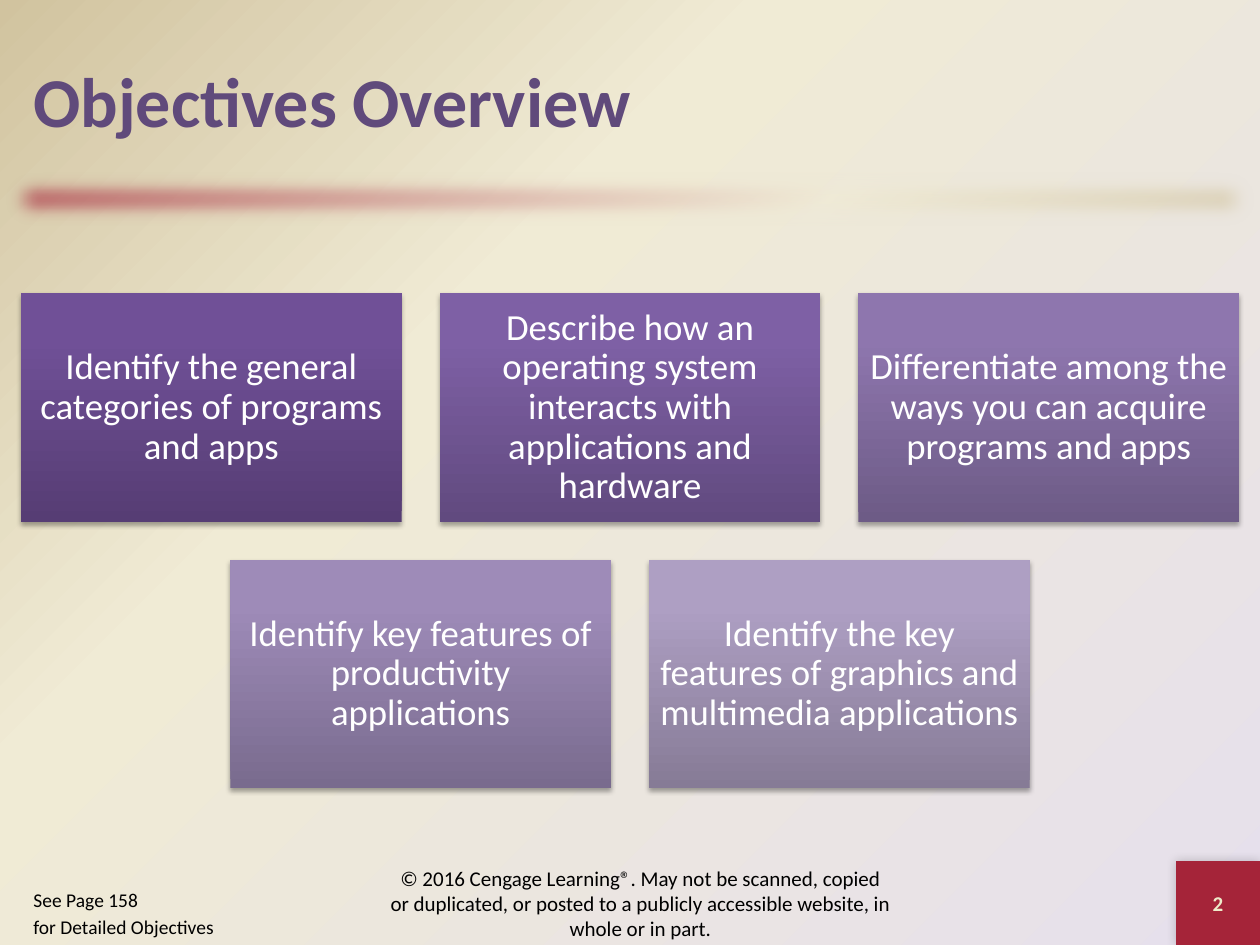
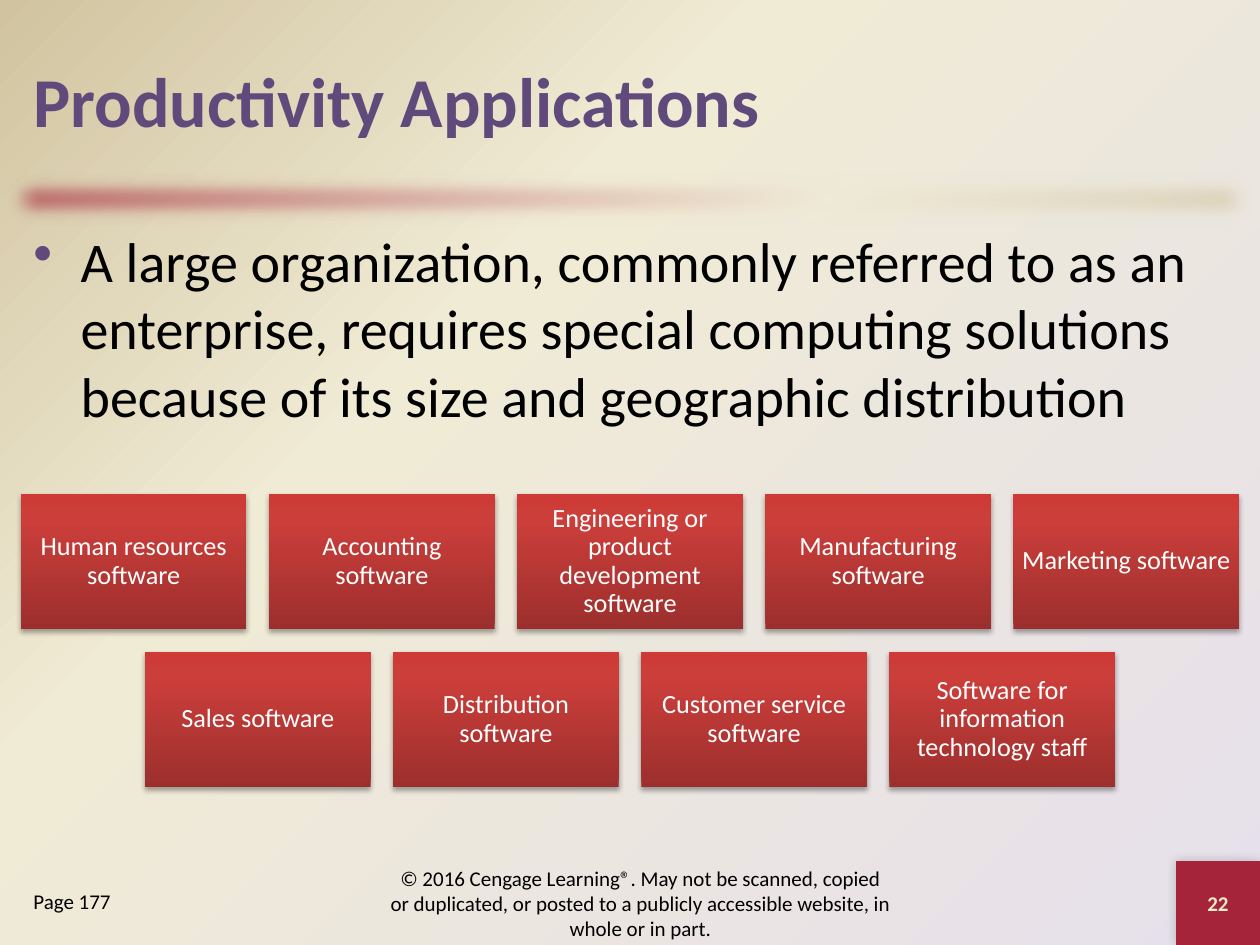
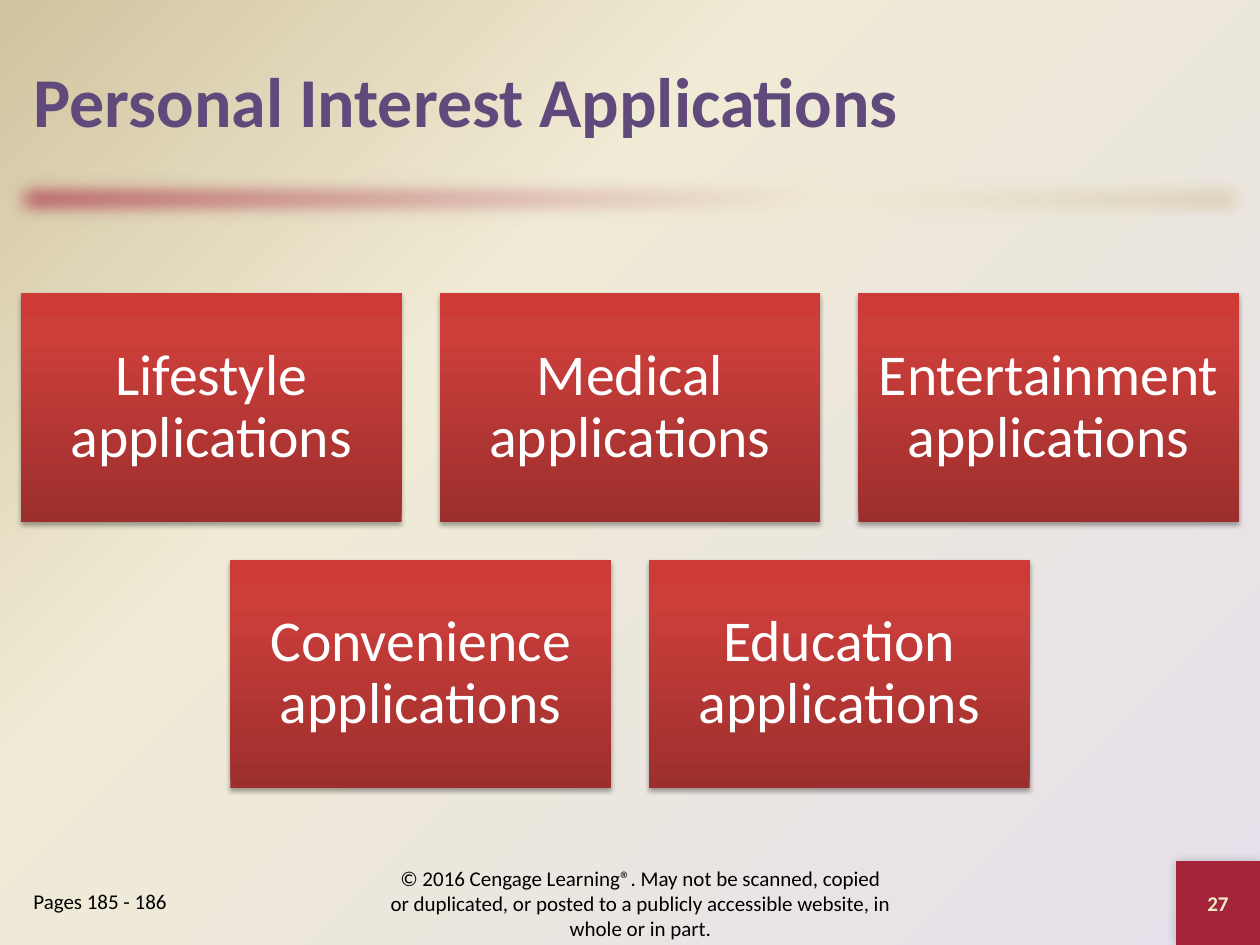
from dataclasses import dataclass

from lxml import etree
from pptx import Presentation
from pptx.dml.color import RGBColor
from pptx.enum.shapes import MSO_SHAPE as Preset
from pptx.enum.text import MSO_ANCHOR as Anchor, PP_ALIGN as Align
from pptx.oxml.ns import qn
from pptx.util import Pt


@dataclass(frozen=True)
class Theme:
    font: str = "Calibri"
    title_color: str = "604A7B"
    text_color: str = "000000"
    card_text: str = "FFFFFF"
    number_text: str = "EEEBCA"
    accent: str = "A52439"
    background: tuple = ((0, "E6E0EC"), (65, "F0EBD5"), (100, "D1C39F"))
    band: tuple = ((0, "A52439"), (65, "F0EBD5"), (100, "D1C39F"))
    red_card: tuple = ("9C2F2D", "CB3E3A", "CE3B37")
    purple_cards: tuple = (
        ("563D74", "705097", "704F99"),
        ("614A7F", "7E60A5", "7F60A7"),
        ("6D5B86", "8E76AE", "8E75B0"),
        ("796B8E", "9E8BB8", "9E8BBA"),
        ("867B96", "AE9FC3", "AE9FC4"),
    )
    title_size: float = 40
    body_size: float = 32
    footer_size: float = 12
    small_footer_size: float = 11.1


THEME = Theme()

SLIDE_WIDTH, SLIDE_HEIGHT = 720, 540
BAND_BOX = (0, 96, 720, 36)
TITLE_BOX = (12, 12, 696, 90)
BODY_BOX = (12, 126, 696, 366)
LOWER_BOX = (12, 240, 696, 252)
PAGE_BOX = (12, 504, 132, 36)
COPYRIGHT_BOX = (216, 498, 300, 36)
NUMBER_BOX = (672, 492, 48, 48)

COPYRIGHT = (
    "© 2016 Cengage Learning®. May not be scanned, copied or duplicated, "
    "or posted to a publicly accessible website, in whole or in part."
)
CARD_GAP = 0.1      # share of the card width
CARD_HEIGHT = 0.6   # share of the card width
CARD_INSET = 0.3    # share of the type size


def add_element(parent, tag, **attributes):
    element = etree.SubElement(parent, qn(tag))
    for name, value in attributes.items():
        element.set(name, str(value))
    return element


def paint_gradient(fill, owner, stops, angle=None):
    """Fill owner with (percent, colour) stops; without an angle, radiate from the bottom right."""
    fill.gradient()
    gradient = owner.find(".//" + qn("a:gradFill"))
    for child in list(gradient):
        gradient.remove(child)
    stop_list = add_element(gradient, "a:gsLst")
    for percent, color in stops:
        stop = add_element(stop_list, "a:gs", pos=percent * 1000)
        add_element(stop, "a:srgbClr", val=color)
    if angle is None:
        circle = add_element(gradient, "a:path", path="circle")
        add_element(circle, "a:fillToRect", l=100000, t=100000)
    else:
        add_element(gradient, "a:lin", ang=angle * 60000, scaled=0)


def add_effect(shape, tag, **attributes):
    effects = shape._element.spPr.find(qn("a:effectLst"))
    return add_element(effects, tag, **attributes)


def add_shadow(shape, blur, distance, angle, opacity):
    shadow = add_effect(shape, "a:outerShdw", blurRad=Pt(blur), dist=Pt(distance),
                        dir=angle * 60000, rotWithShape=0)
    color = add_element(shadow, "a:srgbClr", val="000000")
    add_element(color, "a:alpha", val=opacity * 1000)


def add_rectangle(slide, box):
    shape = slide.shapes.add_shape(Preset.RECTANGLE, *map(Pt, box))
    shape.shadow.inherit = False
    shape.line.fill.background()
    return shape


def add_bullet(paragraph, color, indent=27):
    properties = paragraph._p.get_or_add_pPr()
    properties.set("marL", str(Pt(indent)))
    properties.set("indent", str(Pt(-indent)))
    add_element(add_element(properties, "a:buClr"), "a:srgbClr", val=color)
    add_element(properties, "a:buChar", char="•")


def write(shape, text, *, size, color=THEME.text_color, bold=False, align=Align.LEFT,
          anchor=Anchor.MIDDLE, inset=None, line_spacing=None, bullet_color=None):
    """Set the text of a shape; each line of text becomes a paragraph."""
    frame = shape.text_frame
    frame.word_wrap = True
    frame.vertical_anchor = anchor
    if inset is not None:
        frame.margin_left = frame.margin_right = Pt(inset)
        frame.margin_top = frame.margin_bottom = Pt(inset)
    for index, line in enumerate(text.split("\n")):
        paragraph = frame.add_paragraph() if index else frame.paragraphs[0]
        if bullet_color:
            add_bullet(paragraph, bullet_color)
        paragraph.alignment = align
        if line_spacing:
            paragraph.line_spacing = line_spacing
        if index:
            paragraph.space_before = Pt(round(size * 0.2, 1))
        run = paragraph.add_run()
        run.text = line
        run.font.name = THEME.font
        run.font.size = Pt(size)
        run.font.bold = bold
        run.font.color.rgb = RGBColor.from_string(color)


def add_text(slide, box, text, **text_format):
    write(slide.shapes.add_textbox(*map(Pt, box)), text, **text_format)


def add_band(slide, box):
    band = add_rectangle(slide, box)
    paint_gradient(band.fill, band._element.spPr, THEME.band, angle=45)
    add_effect(band, "a:softEdge", rad=Pt(12.5))


def add_page_number(slide, box, number):
    square = add_rectangle(slide, box)
    square.fill.solid()
    square.fill.fore_color.rgb = RGBColor.from_string(THEME.accent)
    add_shadow(square, blur=6, distance=0, angle=225, opacity=20)
    write(square, str(number), size=THEME.footer_size, color=THEME.number_text,
          bold=True, align=Align.CENTER)


def add_card(slide, box, text, colors, size):
    card = add_rectangle(slide, box)
    paint_gradient(card.fill, card._element.spPr, zip((0, 80, 100), colors), angle=270)
    add_shadow(card, blur=3.1, distance=1.8, angle=90, opacity=35)
    write(card, text, size=size, color=THEME.card_text, align=Align.CENTER,
          inset=CARD_INSET * size, line_spacing=0.9)


def add_card_grid(slide, box, labels, columns, size, palette=(THEME.red_card,)):
    """Fill rows of cards across the box, each row centred, the whole centred vertically."""
    left, top, width, height = box
    card_width = width / (columns + CARD_GAP * (columns - 1))
    card_height = CARD_HEIGHT * card_width
    gap = CARD_GAP * card_width
    rows = [labels[start:start + columns] for start in range(0, len(labels), columns)]
    grid_height = len(rows) * (card_height + gap) - gap
    card_top = top + (height - grid_height) / 2
    for row_index, row in enumerate(rows):
        row_width = len(row) * (card_width + gap) - gap
        card_left = left + (width - row_width) / 2
        for column, label in enumerate(row):
            colors = palette[(row_index * columns + column) % len(palette)]
            card_box = (card_left + column * (card_width + gap),
                        card_top + row_index * (card_height + gap),
                        card_width, card_height)
            add_card(slide, card_box, label, colors, size)


def add_framed_slide(presentation, title, number, page, page_size=THEME.footer_size):
    """Add a slide with the background, band, title and footers that all slides share."""
    slide = presentation.slides.add_slide(presentation.slide_layouts[6])
    paint_gradient(slide.background.fill, slide._element, THEME.background)
    add_band(slide, BAND_BOX)
    add_page_number(slide, NUMBER_BOX, number)
    add_text(slide, TITLE_BOX, title, size=THEME.title_size,
             color=THEME.title_color, bold=True)
    add_text(slide, PAGE_BOX, page, size=page_size, anchor=Anchor.TOP)
    add_text(slide, COPYRIGHT_BOX, COPYRIGHT, size=THEME.footer_size, align=Align.CENTER)
    return slide


def main():
    presentation = Presentation()
    presentation.slide_width = Pt(SLIDE_WIDTH)
    presentation.slide_height = Pt(SLIDE_HEIGHT)

    objectives = add_framed_slide(presentation, "Objectives Overview", 2,
                                  "See Page 158\nfor Detailed Objectives",
                                  page_size=THEME.small_footer_size)
    add_card_grid(objectives, BODY_BOX, [
        "Identify the general categories of programs and apps",
        "Describe how an operating system interacts with applications and hardware",
        "Differentiate among the ways you can acquire programs and apps",
        "Identify key features of productivity applications",
        "Identify the key features of graphics and multimedia applications",
    ], columns=3, size=21, palette=THEME.purple_cards)

    productivity = add_framed_slide(presentation, "Productivity Applications", 22, "Page 177")
    add_text(productivity, BODY_BOX,
             "A large organization, commonly referred to as an enterprise, requires special "
             "computing solutions because of its size and geographic distribution",
             size=THEME.body_size, anchor=Anchor.TOP, bullet_color=THEME.title_color)
    add_card_grid(productivity, LOWER_BOX, [
        "Human resources software",
        "Accounting software",
        "Engineering or product development software",
        "Manufacturing software",
        "Marketing software",
        "Sales software",
        "Distribution software",
        "Customer service software",
        "Software for information technology staff",
    ], columns=5, size=15)

    personal = add_framed_slide(presentation, "Personal Interest Applications", 27,
                                "Pages 185 - 186")
    add_card_grid(personal, BODY_BOX, [
        "Lifestyle applications",
        "Medical applications",
        "Entertainment applications",
        "Convenience applications",
        "Education applications",
    ], columns=3, size=33)

    presentation.save("out.pptx")


if __name__ == "__main__":
    main()
